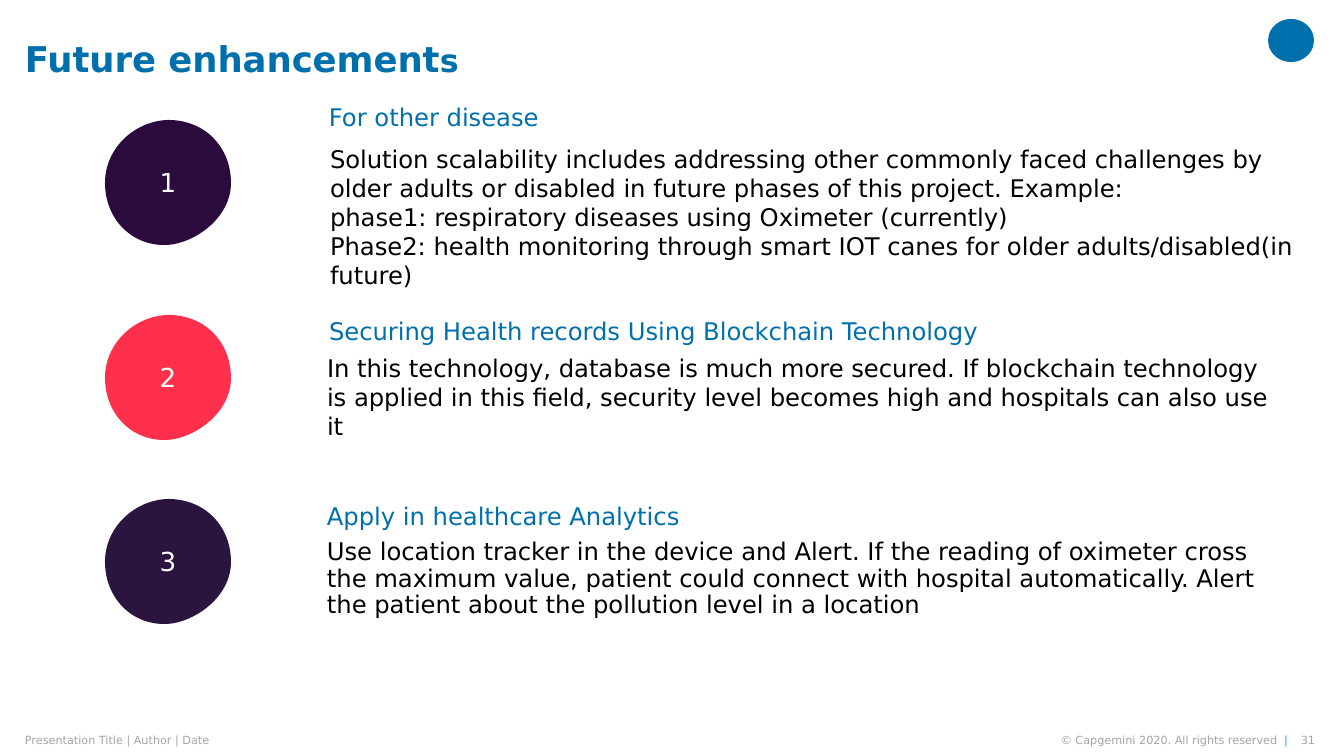
from dataclasses import dataclass

from lxml.etree import SubElement
from pptx import Presentation
from pptx.dml.color import RGBColor
from pptx.enum.shapes import MSO_SHAPE as Shape
from pptx.enum.text import MSO_ANCHOR as Anchor, MSO_AUTO_SIZE as AutoSize, PP_ALIGN as Align
from pptx.oxml.ns import qn
from pptx.util import Pt

TITLE = [("Future enhancement", 19), ("s", 17)]
ENHANCEMENTS = [
    {
        "number": "1", "color": "2B0A3D", "top": 120,
        "heading": "For other disease", "heading_box": (319, 101, 407, 36),
        "body": [
            "Solution scalability includes addressing other commonly faced challenges by "
            "older adults or disabled in future phases of this project. Example:",
            "phase1: respiratory diseases using Oximeter (currently)",
            "Phase2: health monitoring through smart IOT canes for older adults/disabled(in future)",
        ],
        "body_box": (317, 131, 993, 175), "insets": (13, 13), "spacing": 1.0,
    },
    {
        "number": "2", "color": "FF304C", "top": 315,
        "heading": "Securing Health records Using Blockchain Technology",
        "heading_box": (319, 315, 824, 36),
        "body": [
            "In this technology, database is much more secured. If blockchain technology "
            "is applied in this field, security level becomes high and hospitals can also use it",
        ],
        "body_box": (317, 348, 973, 86), "insets": (10, 5), "spacing": 1.0,
    },
    {
        "number": "3", "color": "2B143D", "top": 499,
        "heading": "Apply in healthcare Analytics", "heading_box": (317, 500, 407, 36),
        "body": [
            "Use location tracker in the device and Alert. If the reading of oximeter cross "
            "the maximum value, patient could connect with hospital automatically. "
            "Alert the patient about the pollution level in a location",
        ],
        "body_box": (317, 535, 952, 90), "insets": (10, 5), "spacing": 0.9,
    },
]
FOOTERS = [
    ((25, 734, 520, 13), Align.LEFT, [("Presentation Title | Author | Date", "muted")]),
    ((995, 734, 293, 13), Align.RIGHT,
     [("© Capgemini 2020. All rights reserved  ", "muted"), ("|", "accent")]),
    ((1296, 734, 19, 13), Align.RIGHT, [("31", "muted")]),
]

BLOB_LEFT = 105
BLOB_START = (0, 63)
BLOB_CURVES = [
    ((0, 28), (30, 1), (63, 0)),
    ((101, 0), (126, 28), (126, 63)),
    ((126, 98), (90, 123), (63, 125)),
    ((26, 127), (0, 98), (0, 63)),
]


@dataclass(frozen=True)
class Theme:
    font: str = "DejaVu Sans"
    primary: str = "0070AD"
    accent: str = "12ABDB"
    muted: str = "A5A5A5"
    text: str = "000000"
    light: str = "FFFFFF"
    body_size: int = 13
    number_size: int = 14
    footer_size: int = 6


THEME = Theme()
EMU_PER_PX = 914400 / 134.4


def px(value):
    return round(value * EMU_PER_PX)


def assign(target, values):
    for name, value in values.items():
        setattr(target, name, value)


def fill_solid(shape, color):
    shape.shadow.inherit = False
    shape.fill.solid()
    shape.fill.fore_color.rgb = RGBColor.from_string(color)
    shape.line.fill.background()


def write_text(shape, paragraphs, align=Align.LEFT, anchor=Anchor.TOP,
               insets=(0, 0), spacing=1.0, bold=False):
    frame = shape.text_frame
    across, down = map(px, insets)
    assign(frame, {
        "word_wrap": True, "auto_size": AutoSize.NONE, "vertical_anchor": anchor,
        "margin_left": across, "margin_right": across,
        "margin_top": down, "margin_bottom": down,
    })
    for index, runs in enumerate(paragraphs):
        paragraph = frame.add_paragraph() if index else frame.paragraphs[0]
        assign(paragraph, {"alignment": align, "line_spacing": spacing, "space_before": Pt(0)})
        for text, size, color in runs:
            run = paragraph.add_run()
            run.text = text
            assign(run.font, {"name": THEME.font, "size": Pt(size), "bold": bold})
            run.font.color.rgb = RGBColor.from_string(color)


def add_text(slide, box, paragraphs, **layout):
    write_text(slide.shapes.add_textbox(*map(px, box)), paragraphs, **layout)


def bend_lines(shape, curves):
    lines = list(shape.element.iter(qn("a:lnTo")))
    for line, points in zip(lines, curves):
        line.tag = qn("a:cubicBezTo")
        line.clear()
        for x, y in points:
            SubElement(line, qn("a:pt"), x=str(px(x)), y=str(px(y)))


def add_blob(slide, top, number, color):
    def place(point):
        return px(BLOB_LEFT + point[0]), px(top + point[1])

    builder = slide.shapes.build_freeform(*place(BLOB_START))
    builder.add_line_segments([place(curve[-1]) for curve in BLOB_CURVES], close=True)
    blob = builder.convert_to_shape()
    bend_lines(blob, BLOB_CURVES)
    fill_solid(blob, color)
    write_text(blob, [[(number, THEME.number_size, THEME.light)]],
               align=Align.CENTER, anchor=Anchor.MIDDLE, insets=(10, 5))


def build_slide():
    presentation = Presentation()
    assign(presentation, {"slide_width": px(1344), "slide_height": px(756)})
    slide = presentation.slides.add_slide(presentation.slide_layouts[5])

    title = slide.shapes.title
    assign(title, dict(zip(("left", "top", "width", "height"), map(px, (25, 0, 1227, 122)))))
    write_text(title, [[(text, size, THEME.primary) for text, size in TITLE]],
               anchor=Anchor.MIDDLE, spacing=0.9, bold=True)

    emblem = slide.shapes.add_shape(Shape.OVAL, *map(px, (1268, 19, 46, 43)))
    fill_solid(emblem, THEME.primary)

    for item in ENHANCEMENTS:
        add_blob(slide, item["top"], item["number"], item["color"])
        add_text(slide, item["heading_box"],
                 [[(item["heading"], THEME.body_size, THEME.primary)]],
                 insets=(10, 5), spacing=0.9)
        add_text(slide, item["body_box"],
                 [[(text, THEME.body_size, THEME.text)] for text in item["body"]],
                 insets=item["insets"], spacing=item["spacing"])

    for box, align, runs in FOOTERS:
        add_text(slide, box,
                 [[(text, THEME.footer_size, getattr(THEME, role)) for text, role in runs]],
                 align=align, anchor=Anchor.MIDDLE)

    presentation.save("out.pptx")


if __name__ == "__main__":
    build_slide()
